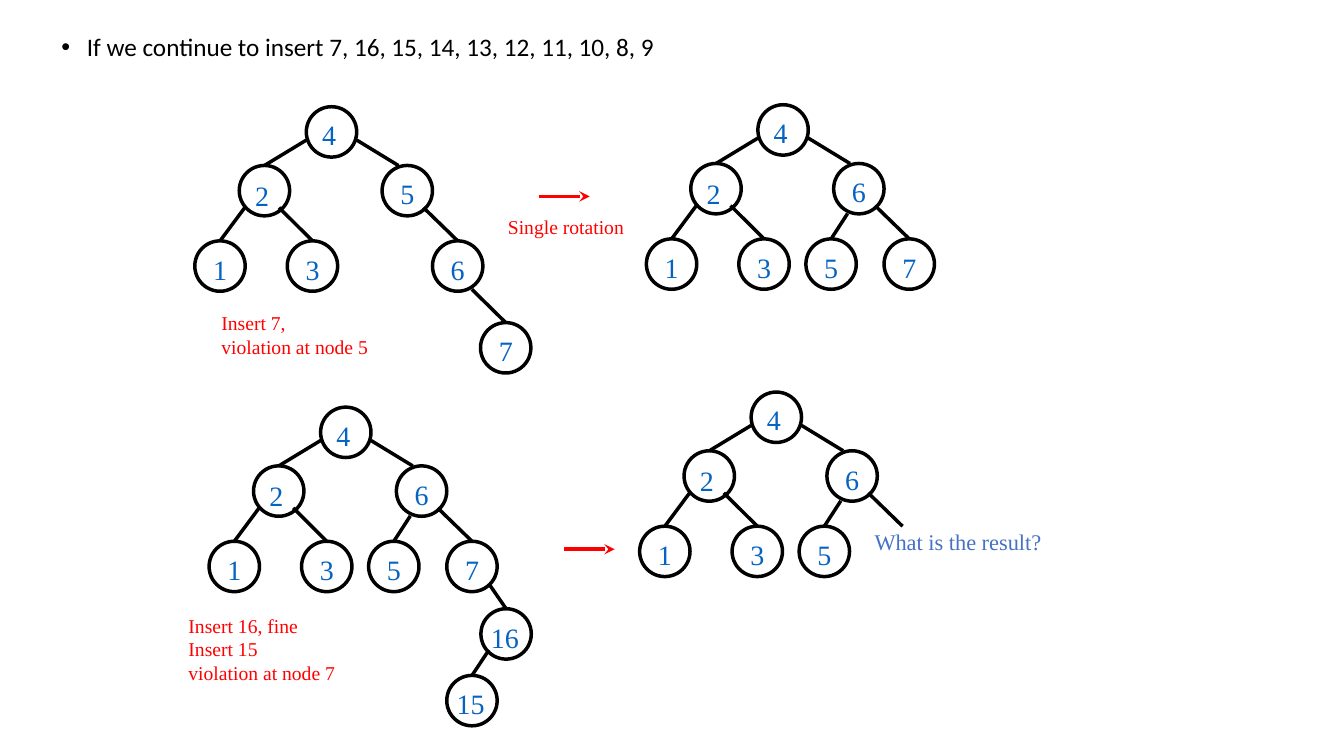
from lxml import etree
from pptx import Presentation
from pptx import util as u
from pptx.dml.color import RGBColor
from pptx.enum import shapes, text
from pptx.oxml.ns import qn

BLACK = RGBColor(0x00, 0x00, 0x00)
RED = RGBColor(0xFF, 0x00, 0x00)
LABEL_BLUE = RGBColor(0x05, 0x63, 0xC1)
QUESTION_BLUE = RGBColor(0x44, 0x72, 0xC4)
SERIF = "Times New Roman"
NODE = 1.27

# Per slot: node corner and start of its edge, both relative to the root corner.
SLOTS = {
    "root": ((0, 0), None),
    "L": ((-1.69, 1.48), (0, 0.84)),
    "R": ((1.91, 1.48), (1.27, 0.84)),
    "LL": ((-2.81, 3.38), (-1.55, 2.54)),
    "LR": ((-0.48, 3.38), (-0.69, 2.54)),
    "RL": ((1.21, 3.38), (2.26, 2.74)),
    "RR": ((3.18, 3.38), (2.95, 2.54)),
    "RRR": ((4.39, 5.44), (4.17, 4.6)),
    "RRR near": ((4.04, 5.08), (4.24, 4.45)),
    "RRRL": ((3.18, 6.76), (4.24, 6.12)),
}
LABEL_SHIFTS = {"root": (0.15, 0.15), "L": (0.15, 0.2)}
LEFT_SIDE = {"root": "4", "L": "2", "LL": "1", "LR": "3"}
BALANCED = {**LEFT_SIDE, "R": "6", "RL": "5", "RR": "7"}

TREES = [
    (7.72, 2.69, {**LEFT_SIDE, "R": "5", "RR": "6", "RRR": "7"}),
    (19.1, 2.64, BALANCED),
    (8.08, 10.26, {**BALANCED, "RRR near": "16", "RRRL": "15"}),
    (18.93, 9.88, {**BALANCED, "RR": None}),
]
NOTES = [
    (5.33, 7.72, 4.24, 1.45, "Insert 7,\nviolation at node 5", 14, RED),
    (12.55, 5.28, 3.45, 0.86, "Single rotation", 14, RED),
    (4.5, 15.34, 4.24, 2.06, "Insert 16, fine\nInsert 15\nviolation at node 7", 14, RED),
    (21.79, 13.18, 4.78, 0.94, "What is the result?", 16, QUESTION_BLUE),
]
ARROWS = [(13.59, 4.95), (14.22, 13.84)]


class TreeSlide:
    def __init__(self, prs):
        self.s = prs.slides.add_slide(prs.slide_layouts[6])
        self.line_width = u.Pt(2.5)

    def label(self, parent, x, y, w, h, content, size, color, font=SERIF):
        box = parent.shapes.add_textbox(u.Cm(x), u.Cm(y), u.Cm(w), u.Cm(h))
        tf = box.text_frame
        tf.text = content
        tf.word_wrap = False
        tf.auto_size = text.MSO_AUTO_SIZE.SHAPE_TO_FIT_TEXT
        for p in tf.paragraphs:
            for r in p.runs:
                r.font.size = u.Pt(size)
                r.font.name = font
                r.font.color.rgb = color
        return tf

    def bullet(self, x, y, w, h, content):
        tf = self.label(self.s, x, y, w, h, content, 18, BLACK, "Calibri")
        tf.auto_size = text.MSO_AUTO_SIZE.NONE
        tf.word_wrap = True
        p = tf.paragraphs[0]
        pPr = p._p.get_or_add_pPr()
        pPr.set("marL", str(u.Cm(0.64)))
        pPr.set("indent", str(u.Cm(-0.64)))
        etree.SubElement(pPr, qn("a:buFont"), typeface="Arial")
        etree.SubElement(pPr, qn("a:buChar"), char="•")
        p.line_spacing = 0.9

    def line(self, parent, x1, y1, x2, y2, color=BLACK):
        edge = parent.shapes.add_connector(
            shapes.MSO_CONNECTOR.STRAIGHT, u.Cm(x1), u.Cm(y1), u.Cm(x2), u.Cm(y2))
        edge.line.color.rgb = color
        edge.line.width = self.line_width
        etree.SubElement(edge._element.spPr, qn("a:effectLst"))
        return edge

    def arrow(self, x, y):
        shaft = self.line(self.s, x, y, x + NODE, y, RED)
        ln = shaft._element.spPr.find(qn("a:ln"))
        etree.SubElement(ln, qn("a:tailEnd"), type="stealth")

    def node(self, parent, x, y, value, shift):
        sp = parent.shapes.add_shape(
            shapes.MSO_SHAPE.OVAL, u.Cm(x), u.Cm(y), u.Cm(NODE), u.Cm(NODE))
        sp.shadow.inherit = False
        sp.fill.background()
        sp.line.color.rgb = BLACK
        sp.line.width = self.line_width
        dx, dy = shift
        width = 0.86
        if len(value) > 1:
            dx, width = 0, 1.22
        self.label(parent, x + dx, y + dy, width, 1.12, value, 20, LABEL_BLUE)

    def tree(self, x, y, values):
        group = self.s.shapes.add_group_shape()
        for slot, value in values.items():
            (nx, ny), start = SLOTS[slot]
            if start:
                end_x = nx + (0.41 if slot == "R" else NODE / 2)
                self.line(group, x + start[0], y + start[1], x + end_x, y + ny)
            if value:
                shift = LABEL_SHIFTS.get(slot, (0.21, 0.16))
                self.node(group, x + nx, y + ny, value, shift)


def main():
    prs = Presentation()
    prs.slide_width, prs.slide_height = u.Cm(33.87), u.Cm(19.05)
    slide = TreeSlide(prs)
    slide.bullet(1.3, 0.74, 22.38, 1.27,
                 "If we continue to insert 7, 16, 15, 14, 13, 12, 11, 10, 8, 9")
    for tree in TREES:
        slide.tree(*tree)
    for note in NOTES:
        slide.label(slide.s, *note)
    for arrow in ARROWS:
        slide.arrow(*arrow)
    prs.save("out.pptx")


if __name__ == "__main__":
    main()
